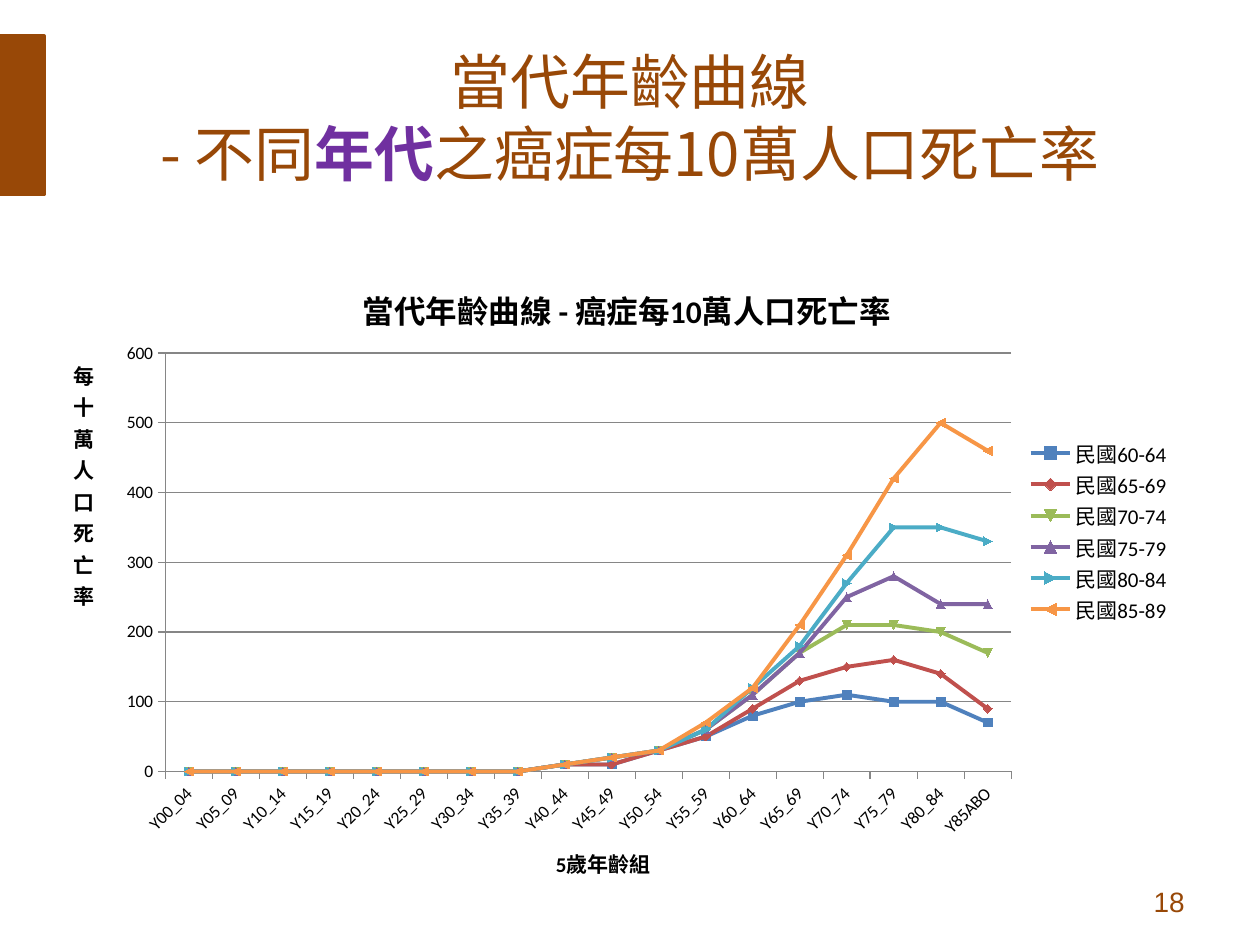
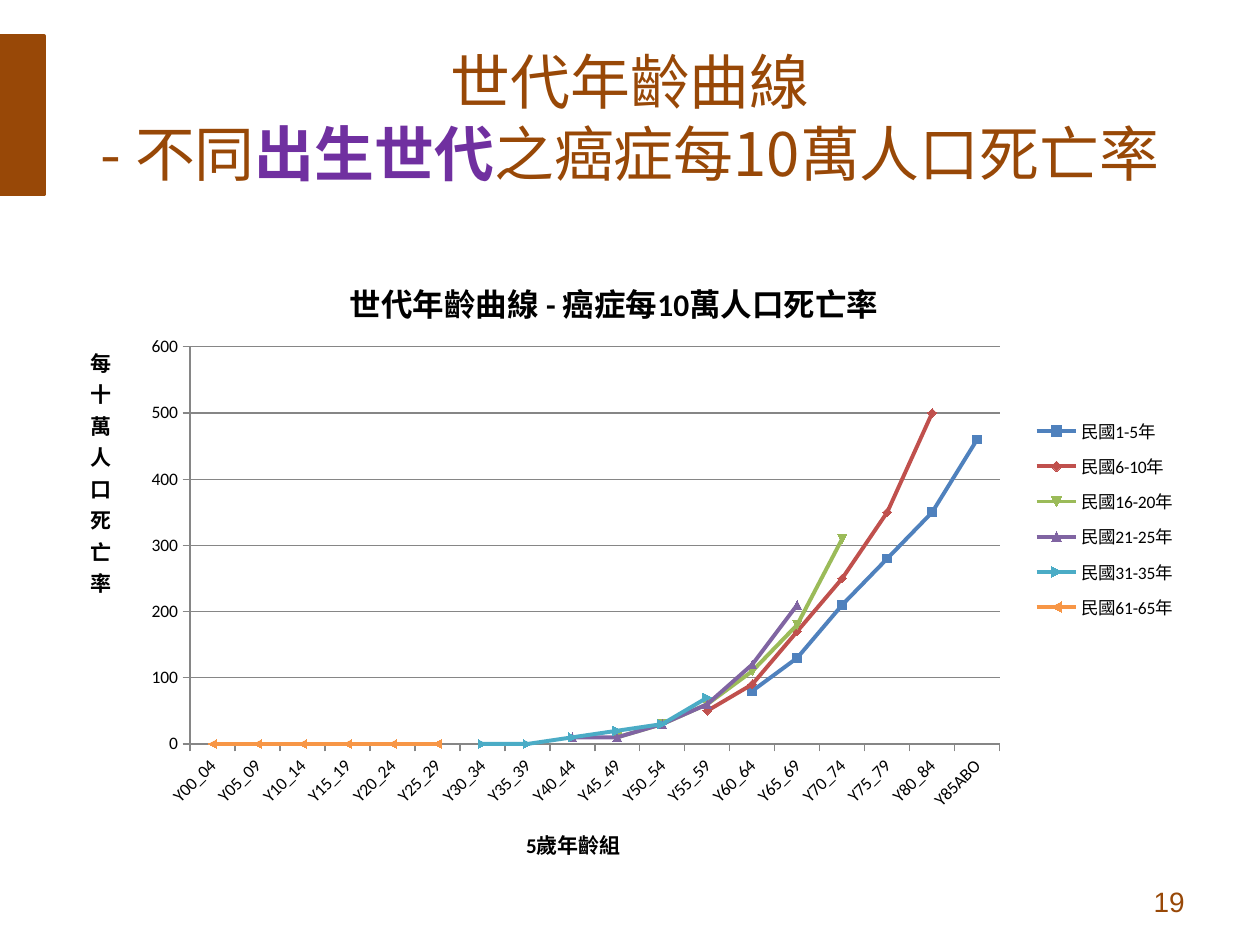
from dataclasses import dataclass

from lxml import etree
from pptx import Presentation
from pptx.chart.data import CategoryChartData
from pptx.dml.color import RGBColor as Rgb
from pptx.enum.chart import XL_CHART_TYPE as ChartType
from pptx.enum.chart import XL_LEGEND_POSITION as LegendSide
from pptx.enum.chart import XL_TICK_MARK as TickMark
from pptx.enum.shapes import MSO_SHAPE as Preset
from pptx.enum.text import MSO_ANCHOR as Anchor
from pptx.enum.text import MSO_AUTO_SIZE as AutoSize
from pptx.enum.text import PP_ALIGN as Align
from pptx.oxml.ns import qn
from pptx.util import Inches, Pt


@dataclass(frozen=True)
class Theme:
    brown: Rgb = Rgb.from_string("984807")
    purple: Rgb = Rgb.from_string("7030A0")
    black: Rgb = Rgb.from_string("000000")
    grey: Rgb = Rgb.from_string("868686")
    curves: tuple = ("4F81BD", "C0504D", "9BBB59", "8064A2", "4BACC6", "F79646")
    cjk: str = "Noto Sans CJK SC"
    latin: str = "Calibri"
    number_font: str = "Arial"
    title: float = 34.2
    chart_title: int = 18
    number: int = 16
    axis_title: int = 12
    label: int = 10


theme = Theme()
deck = Presentation()
deck.slide_width, deck.slide_height = Inches(10), Inches(7.5)
COLUMN, ROW = deck.slide_width / 20, deck.slide_height / 30


def grid_box(column, row, columns, rows):
    return (round(column * COLUMN), round(row * ROW),
            round(columns * COLUMN), round(rows * ROW))


def place(part, inner=False, **percents):
    """Fix a chart part at x, y (and w, h), in percent of the chart."""
    for old in part.findall(qn("c:layout")):
        part.remove(old)
    layout = etree.Element(qn("c:layout"))
    manual = etree.SubElement(layout, qn("c:manualLayout"))
    settings = [("layoutTarget", "inner")] if inner else []
    settings += [("xMode", "edge"), ("yMode", "edge")]
    settings += [(key, str(value / 100)) for key, value in percents.items()]
    for tag, value in settings:
        etree.SubElement(manual, qn(f"c:{tag}")).set("val", value)
    leading = (qn("c:tx"), qn("c:legendPos"))
    part.insert(sum(child.tag in leading for child in part), layout)


age_groups = [f"Y{age:02}_{age + 4:02}" for age in range(0, 85, 5)] + ["Y85ABO"]

period_rates = {
    "民國60-64": [0] * 8 + [10, 10, 30, 50, 80, 100, 110, 100, 100, 70],
    "民國65-69": [0] * 8 + [10, 10, 30, 50, 90, 130, 150, 160, 140, 90],
    "民國70-74": [0] * 8 + [10, 20, 30, 60, 110, 170, 210, 210, 200, 170],
    "民國75-79": [0] * 8 + [10, 20, 30, 60, 110, 170, 250, 280, 240, 240],
    "民國80-84": [0] * 8 + [10, 20, 30, 60, 120, 180, 270, 350, 350, 330],
    "民國85-89": [0] * 8 + [10, 20, 30, 70, 120, 210, 310, 420, 500, 460],
}

# A birth cohort moves up one age group with each period: a diagonal of the rates.
first_age_group = {"民國1-5年": 12, "民國6-10年": 11, "民國16-20年": 9,
                   "民國21-25年": 8, "民國31-35年": 6, "民國61-65年": 0}
cohort_rates = {}
for cohort, first in first_age_group.items():
    cohort_rates[cohort] = [None] * len(age_groups)
    for step, rates in enumerate(period_rates.values()):
        cohort_rates[cohort][first + step] = rates[first + step]

pages = [
    dict(number=18, curve="當代年齡曲線", compared="年代", rates=period_rates,
         chart_box=(0.86, 8.4, 18, 19.8), legend_size=12,
         plot=dict(x=9.8, y=14.2, w=74.6, h=67.1),
         heading=dict(x=26.7, y=2), age_title=dict(x=43.9, y=92.4),
         rate_title=dict(x=1.4, y=14.2), legend=dict(x=85.1, y=27.7, w=14, h=30)),
    dict(number=19, curve="世代年齡曲線", compared="出生世代", rates=cohort_rates,
         chart_box=(1.02, 8.08, 18, 19.8), legend_size=10,
         plot=dict(x=11.1, y=14.8, w=71.4, h=63.7),
         heading=dict(x=24.7, y=2.6), age_title=dict(x=40.4, y=91.1),
         rate_title=dict(x=2, y=13.7), legend=dict(x=84.5, y=24.7, w=14.5, h=35.5)),
]

for page in pages:
    slide = deck.slides.add_slide(deck.slide_layouts[5])

    band = slide.shapes.add_shape(Preset.RECTANGLE, *grid_box(0, 1.14, 0.7, 5.04))
    band.shadow.inherit = False
    band.fill.solid()
    band.fill.fore_color.rgb = band.line.color.rgb = theme.brown
    band.line.width = Pt(2)

    title = slide.shapes.title
    title.left, title.top, title.width, title.height = grid_box(1, 1.2, 18, 5)
    frame = title.text_frame
    frame.auto_size, frame.word_wrap = AutoSize.NONE, True
    frame.vertical_anchor = Anchor.MIDDLE
    frame.margin_left = frame.margin_right = 0
    line = frame.paragraphs[0]
    line.alignment, line.line_spacing = Align.CENTER, 1.0
    for words, color, bold in ((page["curve"], theme.brown, False),
                               ("\n", None, None),
                               ("- 不同", theme.brown, False),
                               (page["compared"], theme.purple, True),
                               ("之癌症每10萬人口死亡率", theme.brown, False)):
        if words == "\n":
            line.add_line_break()
            continue
        run = line.add_run()
        run.text = words
        run.font.size, run.font.bold = Pt(theme.title), bold
        run.font.name, run.font.color.rgb = theme.cjk, color
        east_asian = etree.SubElement(run.font._element, qn("a:ea"))
        east_asian.set("typeface", theme.cjk)

    footer = slide.shapes.add_textbox(*grid_box(14.34, 27.8, 4.66, 1.6)).text_frame
    footer.word_wrap, footer.vertical_anchor = True, Anchor.MIDDLE
    footer.paragraphs[0].alignment = Align.RIGHT
    run = footer.paragraphs[0].add_run()
    run.text = str(page["number"])
    run.font.size, run.font.name = Pt(theme.number), theme.number_font
    run.font.color.rgb = theme.brown

    data = CategoryChartData()
    data.categories = age_groups
    for name, rates in page["rates"].items():
        data.add_series(name, rates)
    chart = slide.shapes.add_chart(
        ChartType.LINE_MARKERS, *grid_box(*page["chart_box"]), data).chart
    chart.font.size, chart.font.name = Pt(theme.label), theme.latin
    chart.font.color.rgb = theme.black
    chart.plots[0].vary_by_categories = False
    for curve, color in zip(chart.plots[0].series, theme.curves):
        curve.smooth = False
        curve.format.line.width = Pt(2.25)
        curve.format.line.color.rgb = Rgb.from_string(color)
        curve.marker.size = 5
        curve.marker.format.fill.solid()
        curve.marker.format.fill.fore_color.rgb = Rgb.from_string(color)
        curve.marker.format.line.color.rgb = Rgb.from_string(color)

    ages, rates_axis = chart.category_axis, chart.value_axis
    for axis in (ages, rates_axis):
        axis.major_tick_mark, axis.minor_tick_mark = TickMark.OUTSIDE, TickMark.NONE
        axis.format.line.color.rgb = theme.grey
        axis.tick_labels.font.size = Pt(theme.label)
    rates_axis.minimum_scale, rates_axis.maximum_scale = 0, 600
    rates_axis.major_unit = 100
    rates_axis.has_major_gridlines = True
    rates_axis.major_gridlines.format.line.color.rgb = theme.grey
    slanted = ages._element.find(qn("c:txPr")).find(qn("a:bodyPr"))
    slanted.set("rot", "-2700000")
    slanted.set("vert", "horz")

    chart.has_title = ages.has_title = rates_axis.has_title = True
    for heading, words, size, font, spot in (
            (chart.chart_title, page["curve"] + " - 癌症每10萬人口死亡率",
             theme.chart_title, theme.latin, page["heading"]),
            (ages.axis_title, "5歲年齡組",
             theme.axis_title, theme.latin, page["age_title"]),
            (rates_axis.axis_title, "每十萬人口死亡率",
             theme.axis_title, theme.cjk, page["rate_title"])):
        run = heading.text_frame.paragraphs[0].add_run()
        run.text = words
        run.font.size, run.font.name, run.font.bold = Pt(size), font, True
        run.font.color.rgb = theme.black
        place(heading._element, **spot)
    stacked = next(rates_axis.axis_title._element.iter(qn("a:bodyPr")))
    stacked.set("rot", "0")
    stacked.set("vert", "wordArtVert")

    chart.has_legend = True
    chart.legend.position = LegendSide.RIGHT
    chart.legend.include_in_layout = False
    chart.legend.font.size = Pt(page["legend_size"])
    chart.legend.font.name = theme.latin
    place(chart.legend._element, **page["legend"])
    place(chart._chartSpace.chart.plotArea, inner=True, **page["plot"])

deck.save("out.pptx")
